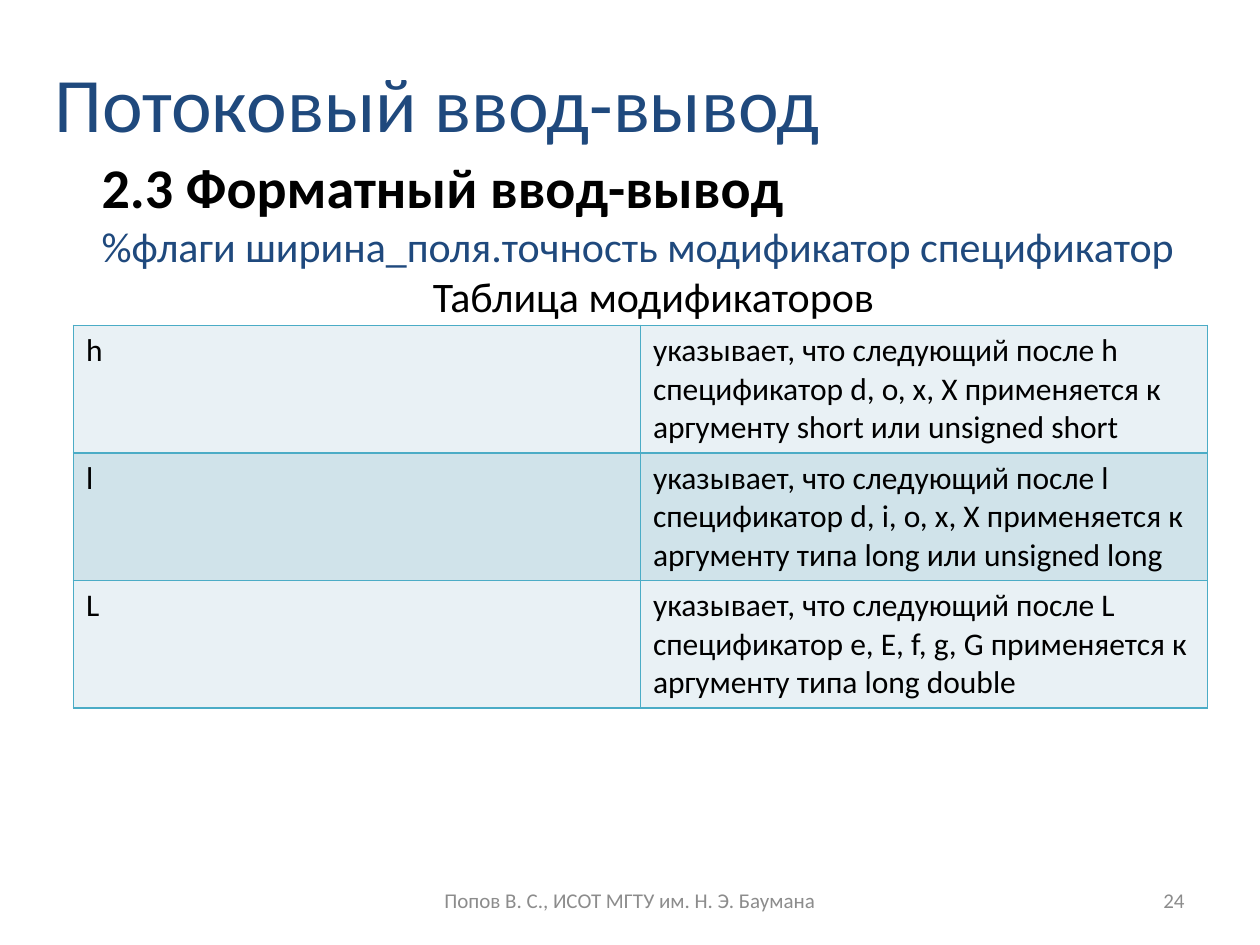
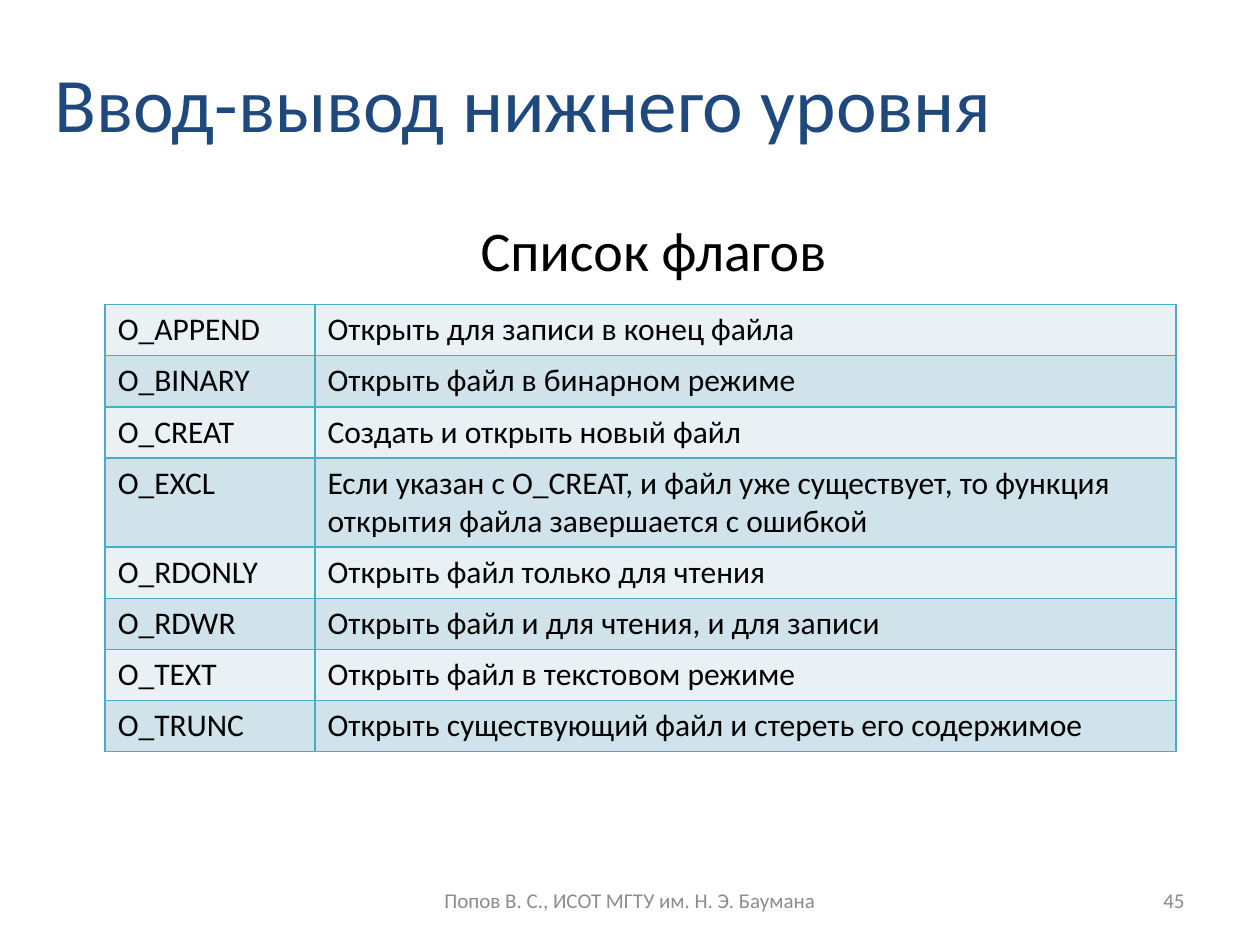
from dataclasses import dataclass

from lxml import etree
from pptx import Presentation
from pptx import util as u
from pptx.dml.color import RGBColor
from pptx.enum import text
from pptx.oxml import ns

FONT = "Calibri"
NAVY = RGBColor(0x1F, 0x49, 0x7D)
BLACK = RGBColor(0, 0, 0)
GREY = RGBColor(0x8C, 0x8C, 0x8C)
TEAL = RGBColor(0x4B, 0xAC, 0xC6)
BANDS = (RGBColor(0xE9, 0xF1, 0xF5), RGBColor(0xD0, 0xE3, 0xEA))
LEFT, CENTER, RIGHT = text.PP_ALIGN.LEFT, text.PP_ALIGN.CENTER, text.PP_ALIGN.RIGHT
TOP, MIDDLE = text.MSO_ANCHOR.TOP, text.MSO_ANCHOR.MIDDLE
FOOTER = "Попов В. С., ИСОТ МГТУ им. Н. Э. Баумана"
LINE_HEIGHT = 0.77
CELL_PADDING = 0.26


@dataclass(frozen=True)
class Area:
    left: float
    top: float
    width: float
    height: float

    def lengths(self) -> tuple[u.Cm, ...]:
        return tuple(u.Cm(n) for n in (self.left, self.top, self.width, self.height))


@dataclass(frozen=True)
class Line:
    words: str
    size: int
    color: RGBColor = BLACK
    align: text.PP_ALIGN = LEFT
    bold: bool = False
    indent: float = 0


@dataclass(frozen=True)
class Row:
    term: str
    meaning: str
    lines: int = 1


@dataclass(frozen=True)
class Topic:
    title: str
    number: int
    heading_area: Area
    heading: tuple[Line, ...]
    table_left: float
    table_top: float
    columns: tuple[float, float]
    rows: tuple[Row, ...]


TITLE_AREA = Area(0.85, 0, 20.75, 4.1)
NUMBER_AREA = Area(18.2, 17.65, 5.93, 1.01)
FOOTER_AREA = Area(8.68, 17.65, 8.04, 1.01)
INDENT = 0.95

TOPICS = (
    Topic(
        "Потоковый ввод-вывод", 24,
        Area(0.85, 2.96, 23.7, 3.68),
        (
            Line("2.3 Форматный ввод-вывод", 32, bold=True, indent=INDENT),
            Line("%флаги ширина_поля.точность модификатор спецификатор", 24, NAVY,
                 indent=INDENT),
            Line("Таблица модификаторов", 24, align=CENTER, indent=INDENT),
        ),
        1.48, 6.56, (11.43, 11.43),
        (
            Row("h", "указывает, что следующий после h спецификатор d, o, x, X "
                "применяется к аргументу short или unsigned short", 3),
            Row("l", "указывает, что следующий после l спецификатор d, i, o, x, X "
                "применяется к аргументу типа long или unsigned long", 3),
            Row("L", "указывает, что следующий после L спецификатор e, E, f, g, G "
                "применяется к аргументу типа long double", 3),
        ),
    ),
    Topic(
        "Ввод-вывод нижнего уровня", 45,
        Area(0.85, 4.23, 23.7, 1.62),
        (Line("Список флагов", 32, align=CENTER, indent=INDENT),),
        2.12, 6.14, (4.23, 17.36),
        (
            Row("O_APPEND", "Открыть для записи в конец файла"),
            Row("O_BINARY", "Открыть файл в бинарном режиме"),
            Row("O_CREAT", "Создать и открыть новый файл"),
            Row("O_EXCL", "Если указан с O_CREAT, и файл уже существует, то функция "
                "открытия файла завершается с ошибкой", 2),
            Row("O_RDONLY", "Открыть файл только для чтения"),
            Row("O_RDWR", "Открыть файл и для чтения, и для записи"),
            Row("O_TEXT", "Открыть файл в текстовом режиме"),
            Row("O_TRUNC", "Открыть существующий файл и стереть его содержимое"),
        ),
    ),
)


def write_lines(frame, lines: tuple[Line, ...]) -> None:
    for index, line in enumerate(lines):
        para = frame.add_paragraph() if index else frame.paragraphs[0]
        para.text = line.words
        para.alignment = line.align
        para.font.name = FONT
        para.font.size = u.Pt(line.size)
        para.font.bold = line.bold
        para.font.color.rgb = line.color
        if line.indent:
            properties = para._p.get_or_add_pPr()
            properties.set("marL", str(u.Cm(line.indent)))
            properties.set("indent", "0")


def add_text(page, area: Area, lines: tuple[Line, ...], anchor=MIDDLE) -> None:
    frame = page.shapes.add_textbox(*area.lengths()).text_frame
    frame.word_wrap = True
    frame.vertical_anchor = anchor
    write_lines(frame, lines)


def draw_borders(cell) -> None:
    properties = cell._tc.get_or_add_tcPr()
    for index, side in enumerate(("lnL", "lnR", "lnT", "lnB")):
        border = etree.Element(ns.qn(f"a:{side}"), w=str(u.Pt(1)))
        fill = etree.SubElement(border, ns.qn("a:solidFill"))
        etree.SubElement(fill, ns.qn("a:srgbClr"), val=str(TEAL))
        properties.insert(index, border)


def add_banded_table(page, topic: Topic) -> None:
    heights = [CELL_PADDING + row.lines * LINE_HEIGHT for row in topic.rows]
    area = Area(topic.table_left, topic.table_top, sum(topic.columns), sum(heights))
    table = page.shapes.add_table(len(topic.rows), 2, *area.lengths()).table
    table.first_row = False
    table.horz_banding = False
    for column, width in zip(table.columns, topic.columns):
        column.width = u.Cm(width)
    for index, (row, height) in enumerate(zip(topic.rows, heights)):
        table.rows[index].height = u.Cm(height)
        for cell, words in zip(table.rows[index].cells, (row.term, row.meaning)):
            write_lines(cell.text_frame, (Line(words, 18),))
            cell.fill.solid()
            cell.fill.fore_color.rgb = BANDS[index % 2]
            draw_borders(cell)


def add_topic(deck, topic: Topic) -> None:
    page = deck.slides.add_slide(deck.slide_layouts[6])
    add_text(page, TITLE_AREA, (Line(topic.title, 44, NAVY),))
    add_text(page, topic.heading_area, topic.heading, TOP)
    add_banded_table(page, topic)
    add_text(page, NUMBER_AREA, (Line(str(topic.number), 12, GREY, RIGHT),))
    add_text(page, FOOTER_AREA, (Line(FOOTER, 12, GREY, CENTER),))


deck = Presentation()
deck.slide_width, deck.slide_height = u.Cm(25.4), u.Cm(19.05)
for topic in TOPICS:
    add_topic(deck, topic)
deck.save("out.pptx")
